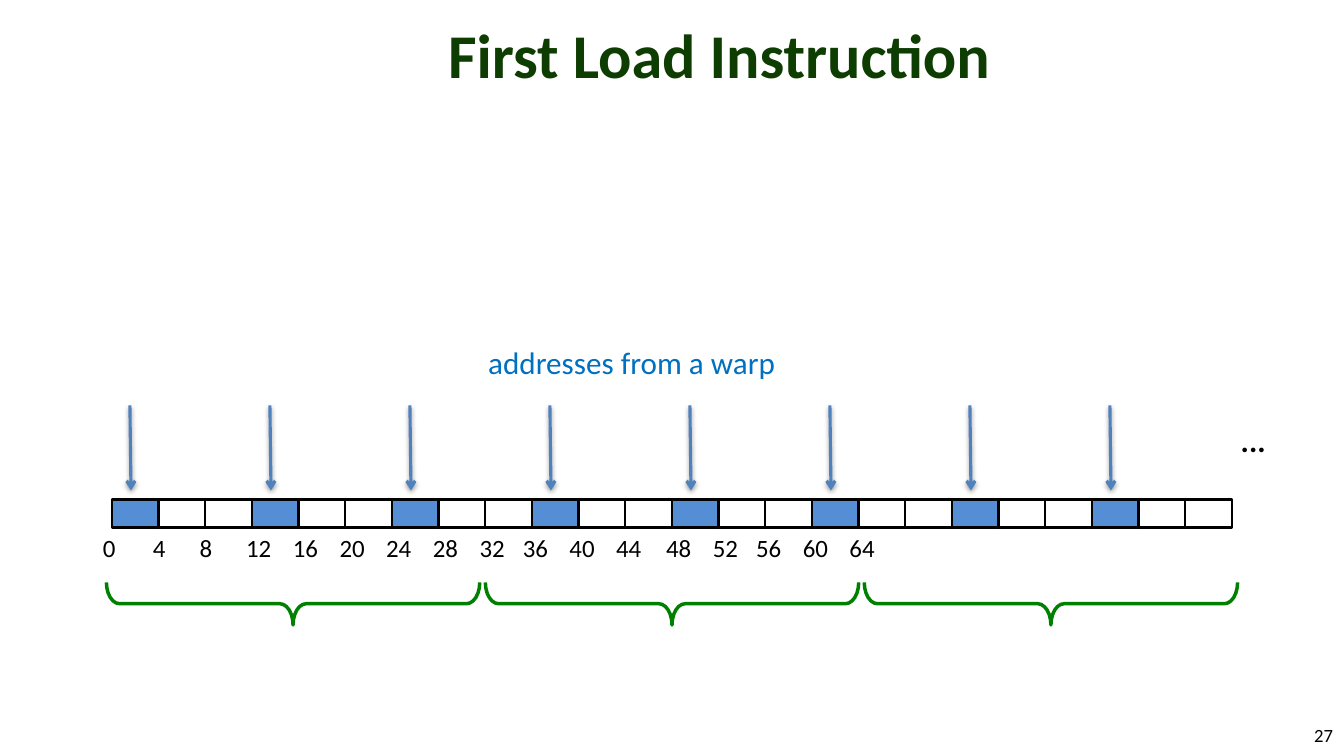
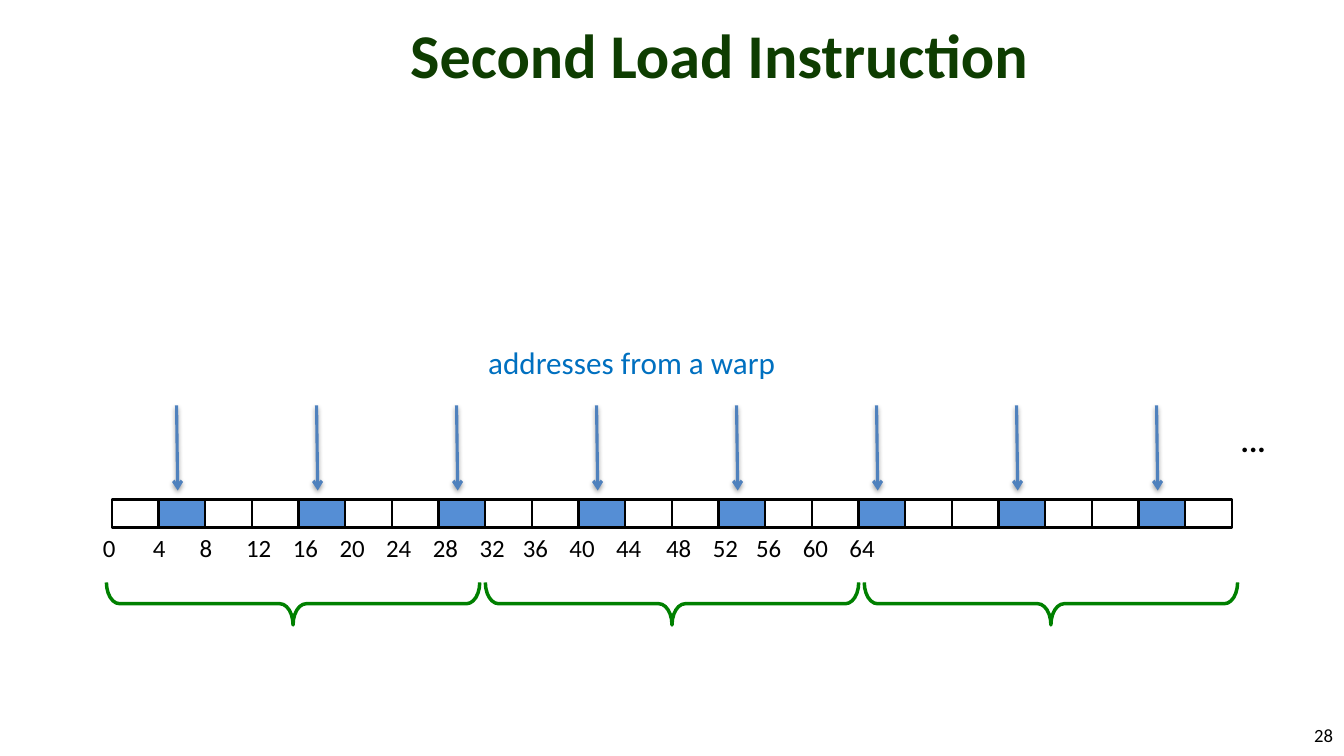
from dataclasses import dataclass

from lxml import etree
from pptx import Presentation
from pptx.dml.color import RGBColor
from pptx.enum.shapes import MSO_CONNECTOR, MSO_SHAPE
from pptx.enum.text import MSO_ANCHOR, MSO_AUTO_SIZE, PP_ALIGN
from pptx.oxml import parse_xml
from pptx.oxml.ns import nsdecls, qn
from pptx.util import Inches, Pt

RECTANGLE = MSO_SHAPE.RECTANGLE
BRACE = MSO_SHAPE.LEFT_BRACE
STRAIGHT = MSO_CONNECTOR.STRAIGHT
TOP, MIDDLE = MSO_ANCHOR.TOP, MSO_ANCHOR.MIDDLE
LEFT, CENTER, RIGHT = PP_ALIGN.LEFT, PP_ALIGN.CENTER, PP_ALIGN.RIGHT
FIT = MSO_AUTO_SIZE.SHAPE_TO_FIT_TEXT

FONT = "Calibri"
BLACK, WHITE = "000000", "FFFFFF"
CELL_BLUE, ARROW_BLUE, CAPTION_BLUE = "558ED5", "4F81BD", "0070C0"
BRACE_GREEN, TITLE_GREEN = "008000", "0E3D01"

# Formats of the text styles
TITLE = {"size": Pt(40), "bold": True}
PAGE_NUMBER = {"size": Pt(12)}
CAPTION = {"size": Pt(20)}
ELLIPSIS = {"size": Pt(20), "bold": True}
ADDRESS = {"size": Pt(16)}

# Memory grid: one column is one four-byte word
COLUMNS = 24
WORD_BYTES = 4
STRIDE = 3
LAST_LABEL = 16
SEGMENT_COLUMNS = 8
CLOSER_LABELS = {0, 9, 10, 11, 14, 15, 16}

SHADOW = f"""<a:effectLst {nsdecls("a")}>
  <a:outerShdw blurRad="40000" dist="20000" dir="5400000" rotWithShape="0">
    <a:srgbClr val="000000"><a:alpha val="38000"/></a:srgbClr>
  </a:outerShdw>
</a:effectLst>"""


@dataclass
class Box:
    left: float
    top: float
    width: float
    height: float

    def inches(self):
        return [Inches(n) for n in (self.left, self.top, self.width, self.height)]


PAGE = Box(0, 0, 12, 6.75)
TITLE_BOX = Box(1.17, 0, 10.5, 0.96)
NUMBER_BOX = Box(11.52, 6.38, 0.48, 0.36)
CAPTION_BOX = Box(4.26, 3.02, 3.08, 0.44)
ELLIPSIS_BOX = Box(10.98, 3.71, 0.43, 0.44)
ARROW_BOX = Box(1, 3.62, 10, 0.76)
MEMORY_BOX = Box(1, 4.46, 10, 0.25)
LABEL_BOX = Box(1, 4.71, 10, 0.37)
BRACE_BOX = Box(1, 5.2, 10, 0.38)


def color(value):
    return RGBColor.from_string(value)


def set_line(line, value, width):
    line.color.rgb = color(value)
    line.width = Pt(width)


def add_text(page, box, text, style, ink=BLACK, align=LEFT, anchor=TOP,
             wrap=True, fit=False):
    frame = page.shapes.add_textbox(*box.inches()).text_frame
    frame.word_wrap = wrap
    frame.vertical_anchor = anchor
    if fit:
        frame.auto_size = FIT
    para = frame.paragraphs[0]
    para.alignment = align
    span = para.add_run()
    span.text = text
    span.font.name = FONT
    span.font.color.rgb = color(ink)
    for name, value in style.items():
        setattr(span.font, name, value)


def add_frame(page, title, number):
    add_text(page, TITLE_BOX, title, TITLE, TITLE_GREEN, CENTER, MIDDLE)
    add_text(page, NUMBER_BOX, str(number), PAGE_NUMBER, align=RIGHT, anchor=MIDDLE)


def add_memory(page, box, first):
    """Row of words, with every third one loaded."""
    step = box.width / COLUMNS
    for column in range(COLUMNS):
        place = Box(box.left + column * step, box.top, step, box.height)
        cell = page.shapes.add_shape(RECTANGLE, *place.inches())
        cell.shadow.inherit = False
        cell.fill.solid()
        loaded = column % STRIDE == first
        cell.fill.fore_color.rgb = color(CELL_BLUE if loaded else WHITE)
        set_line(cell.line, BLACK, 1.5)


def add_labels(page, box):
    """Byte addresses under the word boundaries."""
    step = box.width / COLUMNS
    for column in range(LAST_LABEL + 1):
        text = str(column * WORD_BYTES)
        shift = 0.18 if column in CLOSER_LABELS else 0.15
        width = 0.32 if len(text) == 1 else 0.43
        place = Box(box.left + column * step - shift, box.top, width, box.height)
        add_text(page, place, text, ADDRESS, wrap=False, fit=True)


def add_arrows(page, box, first):
    """One arrow down to each loaded word."""
    step = box.width / COLUMNS
    for column in range(first, COLUMNS, STRIDE):
        left = box.left + column * step + 0.16
        arrow = page.shapes.add_connector(
            STRAIGHT, Inches(left), Inches(box.top),
            Inches(left + 0.01), Inches(box.top + box.height))
        set_line(arrow.line, ARROW_BLUE, 2)
        outline = arrow.line._get_or_add_ln()
        etree.SubElement(outline, qn("a:tailEnd"), type="arrow")
        outline.addnext(parse_xml(SHADOW))


def add_braces(page, box):
    """One brace under each memory segment, spread from the middle."""
    segments = COLUMNS // SEGMENT_COLUMNS
    span = box.width / segments
    pitch = span + 0.05
    middle_x, middle_y = box.left + box.width / 2, box.top + box.height / 2
    for index in range(segments):
        center = middle_x + (index - (segments - 1) / 2) * pitch
        # The upright brace is turned about its centre
        place = Box(center - box.height / 2, middle_y - span / 2, box.height, span)
        brace = page.shapes.add_shape(BRACE, *place.inches())
        brace.rotation = 270
        brace.adjustments[0], brace.adjustments[1] = 0.31, 0.5
        brace.shadow.inherit = False
        brace.fill.background()
        set_line(brace.line, BRACE_GREEN, 2.25)


def add_load_slide(deck, title, number, first):
    page = deck.slides.add_slide(deck.slide_layouts[6])
    add_frame(page, title, number)
    add_memory(page, MEMORY_BOX, first)
    add_labels(page, LABEL_BOX)
    add_text(page, CAPTION_BOX, "addresses from a warp", CAPTION, CAPTION_BLUE, fit=True)
    add_arrows(page, ARROW_BOX, first)
    add_braces(page, BRACE_BOX)
    add_text(page, ELLIPSIS_BOX, "...", ELLIPSIS, wrap=False, fit=True)


def main():
    deck = Presentation()
    deck.slide_width, deck.slide_height = Inches(PAGE.width), Inches(PAGE.height)
    for first, order in enumerate(("First", "Second")):
        add_load_slide(deck, f"{order} Load Instruction", 27 + first, first)
    deck.save("out.pptx")


if __name__ == "__main__":
    main()
